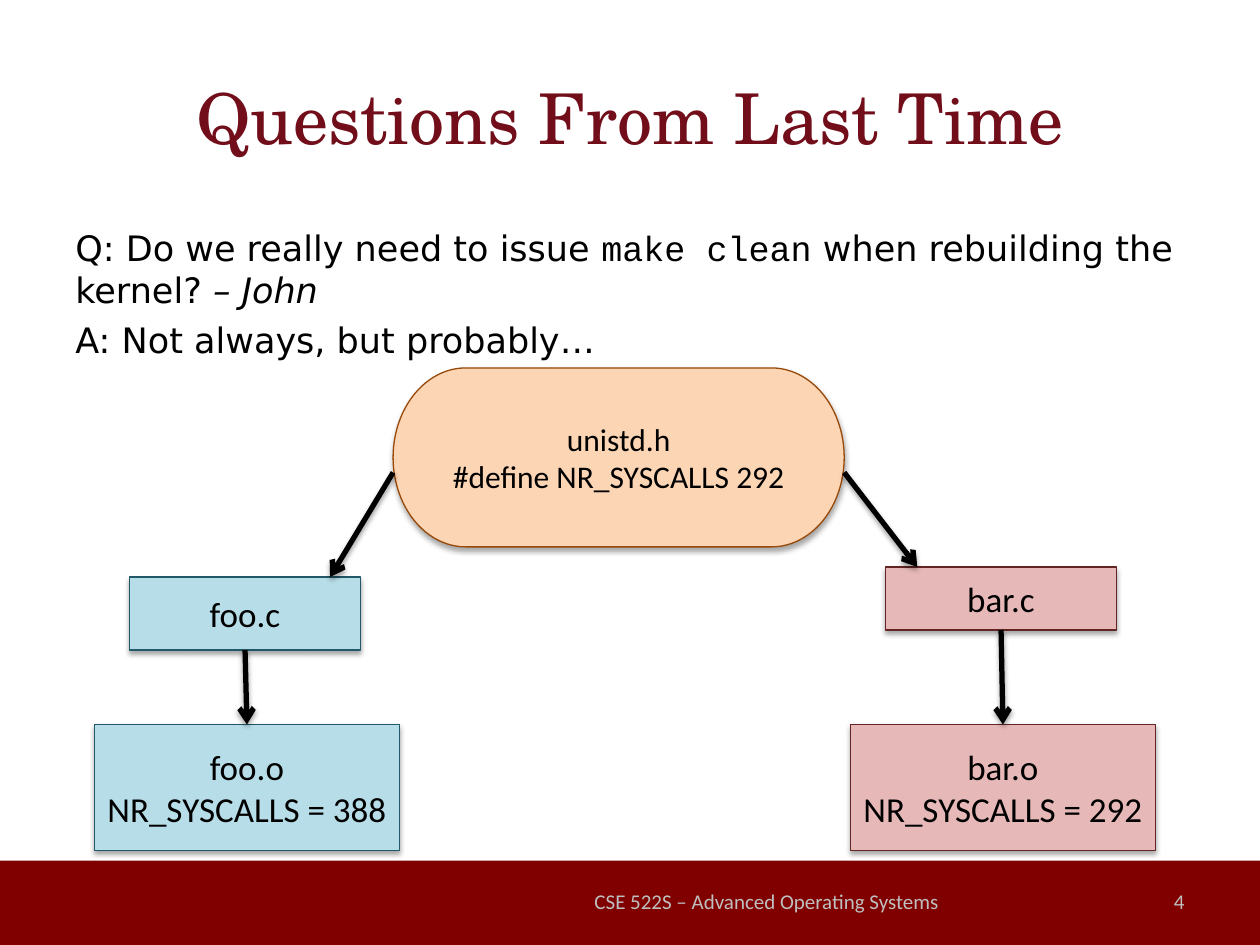
"""Build the slide on rebuilding the kernel after a header change."""
from lxml.etree import SubElement
from pptx import Presentation
from pptx.dml.color import RGBColor
from pptx.enum.shapes import MSO_CONNECTOR, MSO_SHAPE
from pptx.enum.text import MSO_ANCHOR, PP_ALIGN
from pptx.oxml.ns import qn
from pptx.util import Inches, Pt

BLACK = RGBColor(0, 0, 0)
MAROON = RGBColor(0x80, 0, 0)
TITLE = RGBColor(0x72, 0x0D, 0x1A)
GREY = RGBColor(0xBF, 0xBF, 0xBF)
BLUE = RGBColor(0xB7, 0xDE, 0xE8), RGBColor(0x21, 0x59, 0x68)
PINK = RGBColor(0xE6, 0xB9, 0xB8), RGBColor(0x63, 0x25, 0x23)
ORANGE = RGBColor(0xFC, 0xD5, 0xB5), RGBColor(0x98, 0x48, 0x07)

SANS, MONO, SERIF, LABEL = "DejaVu Sans", "Courier New", "TeX Gyre Schola", "Calibri"
QUESTIONS = [
    [("Q: Do we really need to issue ", SANS, False), ("make clean", MONO, False),
     (" when rebuilding the kernel? ", SANS, False), ("– John", SANS, True)],
    [("A: Not always, but probably…", SANS, False)],
]
LABELS = [
    ("Questions From Last Time", (0.5, 0.3, 9, 1.25), PP_ALIGN.CENTER, SERIF, 40, TITLE),
    ("CSE 522S – Advanced Operating Systems", (4.5, 6.95, 3.17, 0.4),
     PP_ALIGN.CENTER, LABEL, 12, GREY),
    ("4", (7.17, 6.95, 2.33, 0.4), PP_ALIGN.RIGHT, LABEL, 12, GREY),
]
HEADER = ("unistd.h\n#define NR_SYSCALLS 292", (3.12, 2.92, 3.58, 1.42))
FILES = [
    ("foo.c", "foo.o\nNR_SYSCALLS = 388", 0.75, 4.58, 0.58, BLUE, (3.12, 2.62)),
    ("bar.c", "bar.o\nNR_SYSCALLS = 292", 6.75, 4.5, 0.5, PINK, (6.7, 7.28)),
]
SOURCE_W, OBJECT_W, OBJECT_Y, OBJECT_H = 1.83, 2.42, 5.75, 1
INCLUDE_Y = 3.75


def style(tf, align, font, size, color):
    tf.vertical_anchor = MSO_ANCHOR.MIDDLE
    for p in tf.paragraphs:
        p.alignment = align
        for r in p.runs:
            r.font.name, r.font.size = font, Pt(size)
            r.font.color.rgb = color


def add_shadow(sp, dist, alpha):
    effects = SubElement(sp.element.spPr, qn("a:effectLst"))
    outer = SubElement(effects, qn("a:outerShdw"), blurRad=str(Pt(3.1)),
                       dist=str(Pt(dist)), dir="5400000", rotWithShape="0")
    color = SubElement(outer, qn("a:srgbClr"), val="000000")
    SubElement(color, qn("a:alpha"), val=str(alpha * 1000))


def add_node(s, kind, text, box, colors, size):
    sp = s.shapes.add_shape(kind, *map(Inches, box))
    sp.fill.solid()
    sp.fill.fore_color.rgb, sp.line.color.rgb = colors
    sp.line.width = Pt(0.75)
    add_shadow(sp, 1.8, 35)
    sp.text_frame.text = text
    sp.text_frame.word_wrap = False
    style(sp.text_frame, PP_ALIGN.CENTER, LABEL, size, BLACK)
    return sp


def add_arrow(s, x1, y1, x2, y2):
    line = s.shapes.add_connector(MSO_CONNECTOR.STRAIGHT, *map(Inches, (x1, y1, x2, y2)))
    line.line.color.rgb = BLACK
    line.line.width = Pt(3)
    SubElement(line.element.spPr.find(qn("a:ln")), qn("a:tailEnd"), type="arrow")
    add_shadow(line, 1.6, 38)
    return line


def add_text(s, box):
    tf = s.shapes.add_textbox(*map(Inches, box)).text_frame
    tf.word_wrap = True
    return tf


def main():
    prs = Presentation()
    prs.slide_width, prs.slide_height = Inches(10), Inches(7.5)
    s = prs.slides.add_slide(prs.slide_layouts[6])

    band = s.shapes.add_shape(MSO_SHAPE.RECTANGLE, *map(Inches, (0, 6.83, 10, 0.67)))
    band.shadow.inherit = False
    band.fill.solid()
    band.fill.fore_color.rgb = MAROON
    band.line.fill.background()

    for text, box, *look in LABELS:
        tf = add_text(s, box)
        tf.text = text
        style(tf, *look)

    tf = add_text(s, (0.5, 1.75, 9, 4.95))
    for i, parts in enumerate(QUESTIONS):
        p = tf.add_paragraph() if i else tf.paragraphs[0]
        p.space_before = Pt(4.7 if i else 0)
        for text, font, italic in parts:
            r = p.add_run()
            r.text = text
            r.font.name, r.font.size, r.font.italic = font, Pt(20), italic
            r.font.color.rgb = BLACK

    add_node(s, MSO_SHAPE.FLOWCHART_TERMINATOR, *HEADER, ORANGE, 18)
    for source, result, x, y, h, colors, (x1, x2) in FILES:
        source_x = x + 0.28
        top = add_node(s, MSO_SHAPE.RECTANGLE, source, (source_x, y, SOURCE_W, h), colors, 20)
        bottom = add_node(s, MSO_SHAPE.RECTANGLE, result,
                          (x, OBJECT_Y, OBJECT_W, OBJECT_H), colors, 20)
        add_arrow(s, x1, INCLUDE_Y, x2, y)
        compiles = add_arrow(s, source_x + SOURCE_W / 2, y + h, x + OBJECT_W / 2, OBJECT_Y)
        compiles.begin_connect(top, 2)
        compiles.end_connect(bottom, 0)

    prs.save("out.pptx")


if __name__ == "__main__":
    main()
